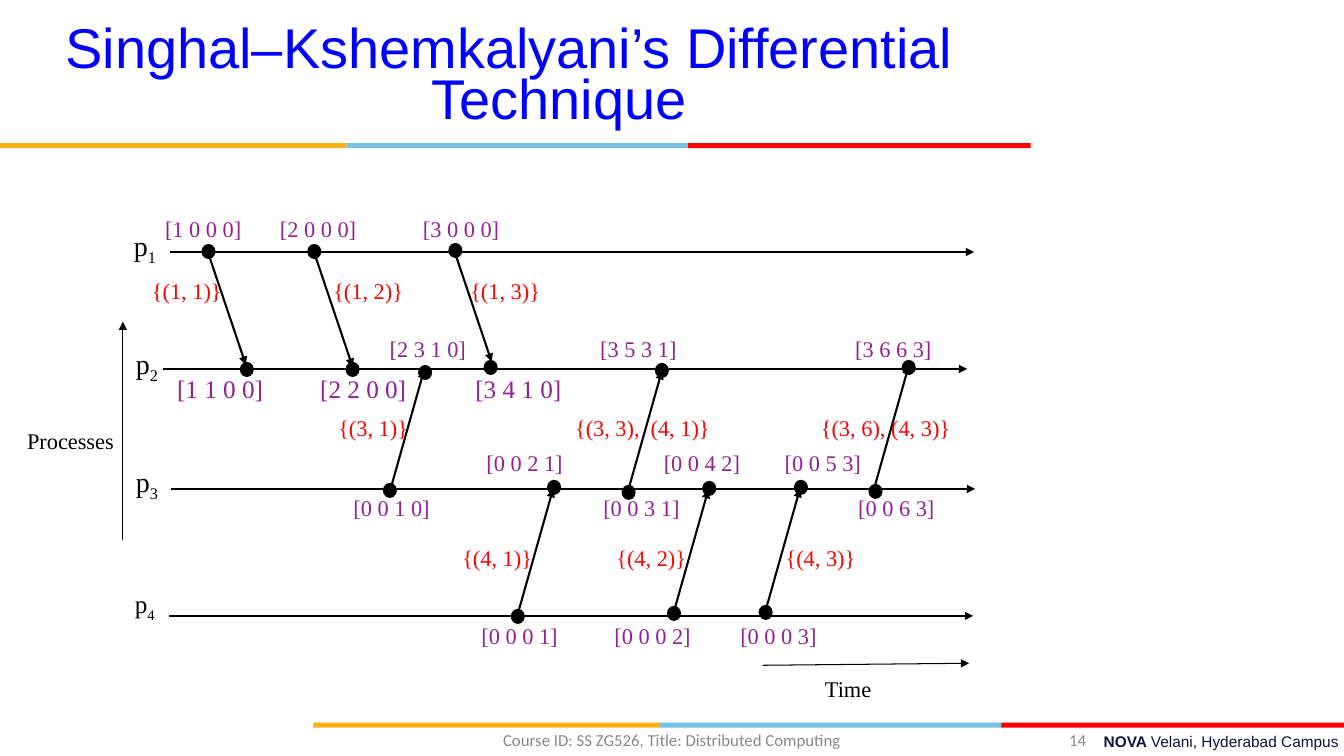
from lxml.etree import SubElement
from pptx import Presentation
from pptx.dml.color import RGBColor
from pptx.enum.shapes import MSO_CONNECTOR, MSO_SHAPE
from pptx.enum.text import MSO_ANCHOR, PP_ALIGN
from pptx.oxml.ns import qn
from pptx.util import Inches, Pt

BLACK = RGBColor(0x00, 0x00, 0x00)
BLUE = RGBColor(0x00, 0x00, 0xFF)
RED = RGBColor(0xFF, 0x00, 0x00)
PURPLE = RGBColor(0x94, 0x20, 0x93)
AMBER = RGBColor(0xFC, 0xB0, 0x17)
SKY = RGBColor(0x76, 0xC2, 0xE5)
NAVY = RGBColor(0x10, 0x11, 0x41)
GRAY = RGBColor(0x88, 0x88, 0x88)

SERIF = "Times New Roman"
TITLE = "Singhal–Kshemkalyani’s Differential Technique"
COURSE = "Course ID: SS ZG526, Title: Distributed Computing"
SCHOOL = [("NOVA ", True), ("Velani, Hyderabad Campus", False)]
PAGE = "14"

STRIPES = [(0, 3.44, AMBER), (3.44, 3.4, SKY), (6.83, 3.4, RED)]
STRIPE_ORIGINS = [(0, 1.42), (3.11, 7.17)]

PROCESSES = [
    ("1", 1.23, 2.22, 20, 1.69, 2.5),
    ("2", 1.25, 3.39, 20, 1.62, 3.66),
    ("3", 1.25, 4.56, 20, 1.7, 4.85),
    ("4", 1.24, 5.79, 18, 1.68, 6.11),
]
TIMELINE_LENGTH = 7.98

EVENTS = [
    (2, 2.42), (3.05, 2.42), (4.45, 2.41),
    (2.38, 3.59), (3.43, 3.59), (4.15, 3.62), (4.8, 3.57), (6.5, 3.6), (8.95, 3.57),
    (3.8, 4.79), (5.43, 4.76), (6.17, 4.81), (6.97, 4.77), (7.88, 4.76), (8.62, 4.8),
    (5.07, 6.04), (6.62, 6.01), (7.53, 6),
]
EVENT_SIZE = (0.14, 0.15)

MESSAGES_DOWN = [(2.07, 2.52), (3.13, 2.54), (4.51, 2.49)]
MESSAGES_UP = [
    (3.86, 4.91), (6.22, 4.92), (8.67, 4.87),
    (5.14, 6.09), (6.68, 6.1), (7.59, 6.09),
]
MESSAGE_VECTORS = [(MESSAGES_DOWN, 0.37, 1.1), (MESSAGES_UP, 0.35, -1.24)]
AXES = [(7.57, 6.6, 9.62, 6.58), (1.22, 5.36, 1.22, 3.19)]
AXIS_LABELS = [("Time", 8.09, 6.65), ("Processes", 0.17, 4.19)]

LABEL_ROWS = [
    (2.09, 16, PURPLE, [(1.64, "[1 0 0 0]"), (2.78, "[2 0 0 0]"), (4.2, "[3 0 0 0]")]),
    (2.7, 16, RED, [(1.51, "{(1, 1)}"), (3.31, "{(1, 2)}"), (4.67, "{(1, 3)}")]),
    (3.28, 16, PURPLE, [(3.87, "[2 3 1 0]"), (5.96, "[3 5 3 1]"), (8.49, "[3 6 6 3]")]),
    (3.65, 18, PURPLE, [(1.76, "[1 1 0 0]"), (3.18, "[2 2 0 0]"), (4.72, "[3 4 1 0]")]),
    (4.06, 16, RED, [(3.36, "{(3, 1)}"), (5.71, "{(3, 3),"), (6.46, "(4, 1)}"),
                     (8.15, "{(3, 6), (4, 3)}")]),
    (4.41, 16, PURPLE, [(4.83, "[0 0 2 1]"), (6.59, "[0 0 4 2]"), (7.79, "[0 0 5 3]")]),
    (4.85, 16, PURPLE, [(3.51, "[0 0 1 0]"), (5.99, "[0 0 3 1]"), (8.52, "[0 0 6 3]")]),
    (5.35, 16, RED, [(4.59, "{(4, 1)}"), (6.12, "{(4, 2)}"), (7.8, "{(4, 3)}")]),
    (6.12, 16, PURPLE, [(4.78, "[0 0 0 1]"), (6.1, "[0 0 0 2]"), (7.35, "[0 0 0 3]")]),
]
LABEL_INSET = 0.1


def set_font(run, name, size, color, bold=False):
    run.font.name = name
    run.font.size = Pt(size)
    run.font.color.rgb = color
    run.font.bold = bold


def add_text(slide, box, pieces, name, size, color, align=PP_ALIGN.LEFT,
             anchor=MSO_ANCHOR.TOP, inset=LABEL_INSET):
    shape = slide.shapes.add_textbox(*map(Inches, box))
    frame = shape.text_frame
    frame.word_wrap = True
    frame.vertical_anchor = anchor
    frame.margin_left = frame.margin_right = Inches(inset)
    paragraph = frame.paragraphs[0]
    paragraph.alignment = align
    for text, bold in pieces:
        run = paragraph.add_run()
        run.text = text
        set_font(run, name, size, color, bold)
    return paragraph


def add_filled(slide, kind, box, color):
    shape = slide.shapes.add_shape(kind, *map(Inches, box))
    shape.shadow.inherit = False
    shape.fill.solid()
    shape.fill.fore_color.rgb = color
    shape.line.fill.background()


def add_arrow(slide, ends, width):
    connector = slide.shapes.add_connector(MSO_CONNECTOR.STRAIGHT, *map(Inches, ends))
    connector.line.color.rgb = BLACK
    connector.line.width = Pt(width)
    properties = connector.element.spPr
    SubElement(properties.find(qn("a:ln")), qn("a:tailEnd"), type="triangle")
    SubElement(properties, qn("a:effectLst"))


def add_title(slide):
    title = slide.shapes.title
    title.left, title.top, title.width, title.height = map(Inches, (0.44, 0.17, 9.22, 1.25))
    frame = title.text_frame
    frame.text = TITLE
    frame.word_wrap = True
    frame.vertical_anchor = MSO_ANCHOR.MIDDLE
    frame.margin_left = frame.margin_right = Inches(0.05)
    paragraph = frame.paragraphs[0]
    paragraph.alignment = PP_ALIGN.CENTER
    paragraph.line_spacing = Pt(36)
    properties = paragraph._p.get_or_add_pPr()
    properties.set("marL", str(Inches(1)))
    properties.set("indent", str(-Inches(1)))
    set_font(paragraph.runs[0], "Arial", 40, BLUE)


def add_frame(slide):
    for origin, top in STRIPE_ORIGINS:
        for offset, width, color in STRIPES:
            add_filled(slide, MSO_SHAPE.RECTANGLE, (origin + offset, top, width, 0.05), color)
    add_text(slide, (4.78, 7.21, 8.56, 0.28), SCHOOL, "Arial", 11, NAVY,
             PP_ALIGN.RIGHT, inset=0.05)
    add_text(slide, (4.42, 7.19, 4.5, 0.3), [(COURSE, False)], "Calibri", 12, GRAY,
             PP_ALIGN.CENTER, MSO_ANCHOR.MIDDLE, 0.05)
    add_text(slide, (10.03, 7.19, 0.8, 0.3), [(PAGE, False)], "Calibri", 12, GRAY,
             PP_ALIGN.RIGHT, MSO_ANCHOR.MIDDLE, 0.05)


def add_diagram(slide):
    for number, left, top, size, start, level in PROCESSES:
        add_arrow(slide, (start, level, start + TIMELINE_LENGTH, level), 1.5)
        paragraph = add_text(slide, (left, top, 0.64, 0.48),
                             [("p", False), (number, False)], SERIF, size, BLACK)
        paragraph.runs[1]._r.get_or_add_rPr().set("baseline", "-25000")
    for left, top in EVENTS:
        add_filled(slide, MSO_SHAPE.OVAL, (left, top, *EVENT_SIZE), BLACK)
    for starts, run_x, run_y in MESSAGE_VECTORS:
        for x, y in starts:
            add_arrow(slide, (x, y, x + run_x, y + run_y), 1.5)
    for ends in AXES:
        add_arrow(slide, ends, 0.75)
    for text, left, top in AXIS_LABELS:
        add_text(slide, (left, top, 1.2, 0.37), [(text, False)], SERIF, 16, BLACK)
    for top, size, color, labels in LABEL_ROWS:
        for left, text in labels:
            add_text(slide, (left - LABEL_INSET, top, 1.6, 0.4), [(text, False)],
                     SERIF, size, color)


def main():
    presentation = Presentation()
    presentation.slide_width = Inches(13.34)
    presentation.slide_height = Inches(7.5)
    slide = presentation.slides.add_slide(presentation.slide_layouts[5])
    add_title(slide)
    add_frame(slide)
    add_diagram(slide)
    presentation.save("out.pptx")


if __name__ == "__main__":
    main()
